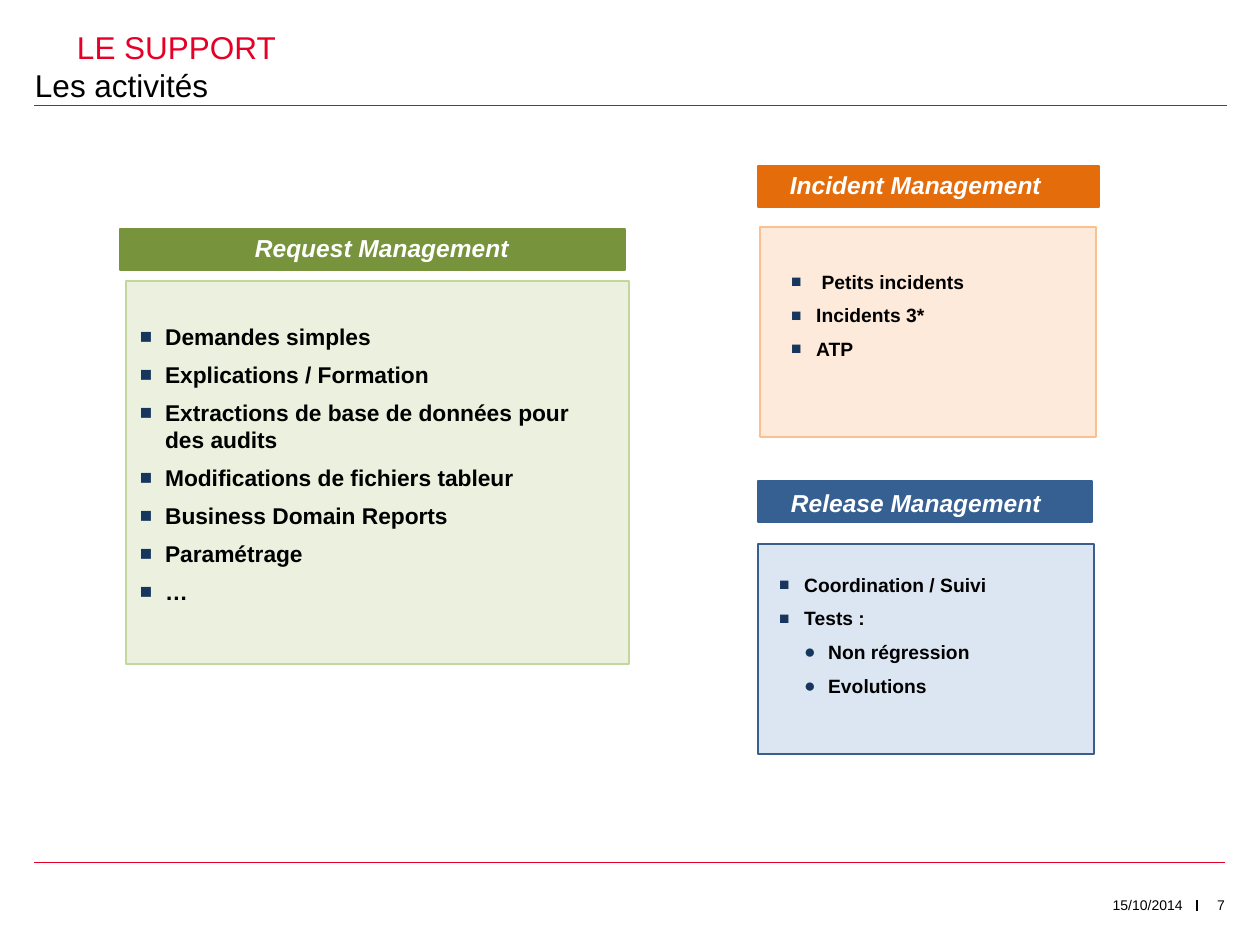
from dataclasses import dataclass

from lxml import etree
from pptx import Presentation, util as u
from pptx.dml.color import RGBColor
from pptx.enum import shapes, text
from pptx.oxml import ns

PX_PER_INCH = 126
FONT = "Arial"
RED = RGBColor(0xE6, 0x00, 0x28)
BLACK = RGBColor(0x00, 0x00, 0x00)
WHITE = RGBColor(0xFF, 0xFF, 0xFF)
NAVY = RGBColor(0x17, 0x36, 0x5D)
GREEN = RGBColor(0x77, 0x93, 0x3C)
GREEN_EDGE = RGBColor(0xC3, 0xD6, 0x9B)
GREEN_PALE = RGBColor(0xEB, 0xF1, 0xDE)
ORANGE = RGBColor(0xE4, 0x6C, 0x0A)
ORANGE_EDGE = RGBColor(0xFA, 0xC0, 0x90)
ORANGE_PALE = RGBColor(0xFD, 0xEA, 0xDA)
BLUE = RGBColor(0x37, 0x60, 0x92)
BLUE_EDGE = RGBColor(0x3A, 0x5F, 0x8C)
BLUE_PALE = RGBColor(0xDC, 0xE6, 0xF2)

Box = tuple[int, int, int, int]


@dataclass
class Item:
    text: str
    level: int = 0


@dataclass
class Activity:
    heading: str
    heading_box: Box
    banner_box: Box
    banner_color: RGBColor
    panel_box: Box
    panel_color: RGBColor
    edge_color: RGBColor
    list_box: Box
    size: int
    items: list[Item]
    placeholder: int | None = None


@dataclass
class Rule:
    start: tuple[int, int]
    end: tuple[int, int]
    color: RGBColor
    width: float


ACTIVITIES = [
    Activity("Request Management", (255, 224, 325, 39), (120, 229, 505, 41), GREEN,
             (126, 281, 503, 383), GREEN_PALE, GREEN_EDGE, (140, 323, 467, 368), 13,
             [Item("Demandes simples"), Item("Explications / Formation"),
              Item("Extractions de base de données pour des audits"),
              Item("Modifications de fichiers tableur"), Item("Business Domain Reports"),
              Item("Paramétrage"), Item("…")]),
    Activity("Incident Management", (790, 161, 481, 39), (758, 166, 341, 41), ORANGE,
             (760, 227, 336, 210), ORANGE_PALE, ORANGE_EDGE, (791, 270, 543, 185), 11,
             [Item(" Petits incidents"), Item("Incidents 3*"), Item("ATP")], 1),
    Activity("Release Management", (791, 479, 481, 39), (758, 481, 334, 41), BLUE,
             (758, 544, 336, 210), BLUE_PALE, BLUE_EDGE, (779, 573, 383, 200), 11,
             [Item("Coordination / Suivi"), Item("Tests :"),
              Item("Non régression", 1), Item("Evolutions", 1)], 2),
]

RULES = [
    Rule((1227, 105), (34, 105), RED, 0.5),
    Rule((1197, 900), (1197, 911), BLACK, 0.75),
    Rule((1225, 862), (34, 862), RED, 0.5),
]


def px(length: int) -> u.Emu:
    return u.Emu(round(length * 914400 / PX_PER_INCH))


def place(shape, box: Box) -> None:
    shape.left, shape.top, shape.width, shape.height = map(px, box)


def add_box(slide, box: Box):
    return slide.shapes.add_textbox(*map(px, box))


def set_frame(shape, anchor: text.MSO_ANCHOR):
    frame = shape.text_frame
    frame.margin_left = frame.margin_top = frame.margin_right = frame.margin_bottom = 0
    frame.word_wrap = True
    frame.auto_size = text.MSO_AUTO_SIZE.NONE
    frame.vertical_anchor = anchor
    return frame


def format_runs(paragraph, size: int, color: RGBColor, bold=False, italic=False) -> None:
    for run in paragraph.runs:
        run.font.name, run.font.size = FONT, u.Pt(size)
        run.font.bold, run.font.italic = bold, italic
        run.font.color.rgb = color


def write_line(shape, words: str, size: int, color: RGBColor, emphasis=False,
               align=text.PP_ALIGN.LEFT, anchor=text.MSO_ANCHOR.BOTTOM) -> None:
    frame = set_frame(shape, anchor)
    frame.text = words
    paragraph = frame.paragraphs[0]
    paragraph.alignment = align
    if anchor == text.MSO_ANCHOR.BOTTOM:
        paragraph.line_spacing = 0.9
    format_runs(paragraph, size, color, emphasis, emphasis)


def set_bullet(paragraph, level: int) -> None:
    character, percent, left, hanging = [("■", 90, 0.2, 0.2), ("●", 100, 0.39, 0.19)][level]
    properties = paragraph._p.get_or_add_pPr()
    properties.set("marL", str(u.Inches(left)))
    properties.set("indent", str(-u.Inches(hanging)))
    color = etree.SubElement(properties, ns.qn("a:buClr"))
    etree.SubElement(color, ns.qn("a:srgbClr"), val=str(NAVY))
    etree.SubElement(properties, ns.qn("a:buSzPct"), val=str(percent * 1000))
    etree.SubElement(properties, ns.qn("a:buFont"), typeface=FONT)
    etree.SubElement(properties, ns.qn("a:buChar"), char=character)


def write_list(shape, items: list[Item], size: int) -> None:
    frame = set_frame(shape, text.MSO_ANCHOR.TOP)
    frame.text = "\n".join(item.text for item in items)
    for paragraph, item in zip(frame.paragraphs, items):
        paragraph.level = item.level
        paragraph.alignment = text.PP_ALIGN.LEFT
        paragraph.space_before = u.Pt(6)
        set_bullet(paragraph, item.level)
        format_runs(paragraph, size, BLACK, bold=True)


def add_rectangle(slide, box: Box, fill: RGBColor, edge: RGBColor) -> None:
    shape = slide.shapes.add_shape(shapes.MSO_SHAPE.RECTANGLE, *map(px, box))
    shape.shadow.inherit = False
    shape.fill.solid()
    shape.fill.fore_color.rgb = fill
    shape.line.color.rgb = edge
    shape.line.width = u.Pt(1.5)


def add_rule(slide, rule: Rule) -> None:
    line = slide.shapes.add_connector(
        shapes.MSO_CONNECTOR.STRAIGHT, *map(px, rule.start + rule.end))
    line.line.color.rgb = rule.color
    line.line.width = u.Pt(rule.width)
    etree.SubElement(line._element.spPr, ns.qn("a:effectLst"))


def add_activity(slide, activity: Activity) -> None:
    add_rectangle(slide, activity.banner_box, activity.banner_color, activity.banner_color)
    add_rectangle(slide, activity.panel_box, activity.panel_color, activity.edge_color)
    write_line(add_box(slide, activity.heading_box), activity.heading, 14, WHITE, emphasis=True)
    if activity.placeholder is None:
        body = add_box(slide, activity.list_box)
    else:
        body = slide.placeholders[activity.placeholder]
        place(body, activity.list_box)
        # Bring the list in front of its panel
        body.element.getparent().append(body.element)
    write_list(body, activity.items, activity.size)


def main() -> None:
    presentation = Presentation()
    presentation.slide_width, presentation.slide_height = u.Inches(10), u.Inches(7.5)
    slide = presentation.slides.add_slide(presentation.slide_layouts.get_by_name("Two Content"))

    # Rules and footer
    for rule in RULES:
        add_rule(slide, rule)
    for words, box in [(" 7", (1190, 897, 35, 30)), ("15/10/2014", (934, 897, 249, 30))]:
        write_line(add_box(slide, box), words, 8, BLACK,
                   align=text.PP_ALIGN.RIGHT, anchor=text.MSO_ANCHOR.TOP)

    # Title and subtitle
    place(slide.shapes.title, (77, 27, 1148, 39))
    write_line(slide.shapes.title, "LE SUPPORT", 18, RED)
    write_line(add_box(slide, (35, 65, 1148, 39)), "Les activités", 18, BLACK)

    # Activity blocks
    for activity in ACTIVITIES:
        add_activity(slide, activity)

    presentation.save("out.pptx")


if __name__ == "__main__":
    main()
